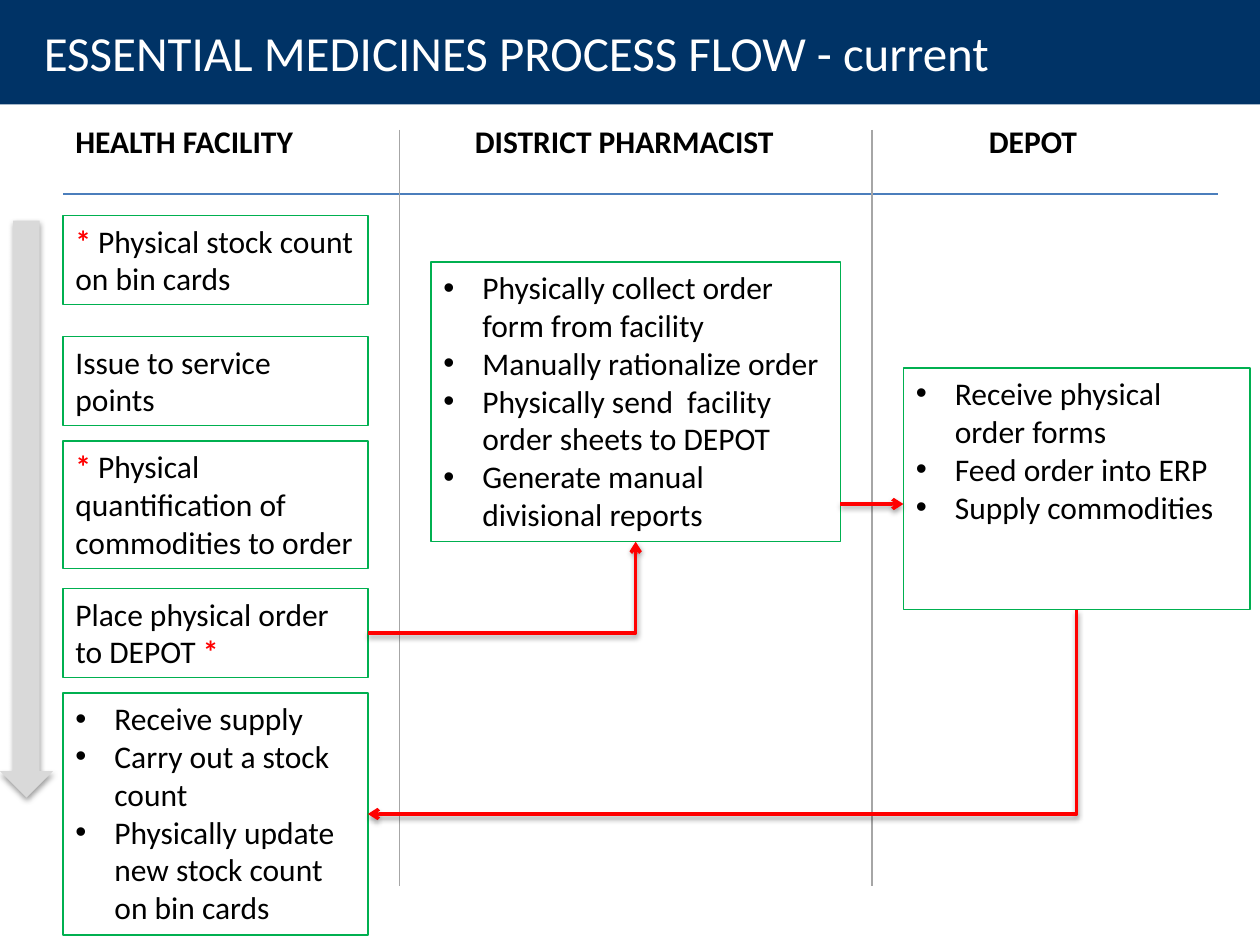
from typing import NamedTuple

from lxml import etree
from pptx import Presentation
from pptx import util as u
from pptx.dml.color import RGBColor
from pptx.enum import shapes, text
from pptx.oxml import parse_xml
from pptx.oxml.ns import nsdecls, qn

FONT = "Calibri"
BLACK, WHITE, RED, GREEN = "000000", "FFFFFF", "FF0000", "00B050"
NAVY, BLUE, GREY, SILVER = "003366", "4B7EBC", "A6A6A6", "D9D9D9"
BOTTOM, RIGHT = 2, 3


class Step(NamedTuple):
    name: str
    left: float
    top: float
    width: float
    height: float
    lines: list[str]
    bulleted: bool = False


class Heading(NamedTuple):
    label: str
    left: float
    width: float


class Rule(NamedTuple):
    start: tuple[float, float]
    end: tuple[float, float]
    color: str


STEPS = [
    Step("count", 0.5, 1.71, 2.42, 0.71, ["* Physical stock count on bin cards"]),
    Step("issue", 0.5, 2.67, 2.42, 0.71, ["Issue to service points"]),
    Step("quantify", 0.5, 3.5, 2.42, 1.01,
         ["* Physical quantification of commodities to order"]),
    Step("order", 0.5, 4.67, 2.42, 0.71, ["Place physical order to DEPOT *"]),
    Step("receive", 0.5, 5.5, 2.42, 1.92,
         ["Receive supply", "Carry out a stock count",
          "Physically update new stock count on bin cards"], True),
    Step("district", 3.42, 2.08, 3.25, 2.22,
         ["Physically collect order form from facility",
          "Manually rationalize order",
          "Physically send  facility order sheets to DEPOT",
          "Generate manual divisional reports"], True),
    Step("supplier", 7.17, 2.92, 2.75, 1.92,
         ["Receive physical order forms", "Feed order into ERP",
          "Supply commodities"], True),
]
HEADINGS = [
    Heading("HEALTH FACILITY", 0.5, 2.17),
    Heading("DISTRICT PHARMACIST", 3.67, 2.73),
    Heading("DEPOT", 7.75, 2.17),
]
RULES = [
    Rule((0.5, 1.54), (9.67, 1.54), BLUE),
    Rule((3.17, 1.03), (3.17, 7.03), GREY),
    Rule((6.92, 1.03), (6.92, 7.03), GREY),
]


def rgb(value: str) -> RGBColor:
    return RGBColor.from_string(value)


def set_effects(shape, shadow: bool) -> None:
    """Give the shape a soft drop shadow, or an empty effect list."""
    inner = (
        '<a:outerShdw blurRad="40000" dist="20000" dir="5400000" rotWithShape="0">'
        '<a:srgbClr val="000000"><a:alpha val="38000"/></a:srgbClr></a:outerShdw>'
    ) if shadow else ""
    properties = shape._element.spPr
    for old in properties.findall(qn("a:effectLst")):
        properties.remove(old)
    properties.append(parse_xml(f"<a:effectLst {nsdecls('a')}>{inner}</a:effectLst>"))


def add_block(page, kind, left: float, top: float, width: float, height: float,
              fill: str = "", line: str = "", shadow: bool = False):
    block = page.shapes.add_shape(kind, *map(u.Inches, (left, top, width, height)))
    if fill:
        block.fill.solid()
        block.fill.fore_color.rgb = rgb(fill)
    else:
        block.fill.background()
    if line:
        block.line.color.rgb = rgb(line)
        block.line.width = u.Pt(0.75)
    else:
        block.line.fill.background()
    set_effects(block, shadow)
    return block


def style(para, size: float, color: str, bold: bool = False) -> None:
    para.alignment = text.PP_ALIGN.LEFT
    para.font.name = FONT
    para.font.size = u.Pt(size)
    para.font.bold = bold
    para.font.color.rgb = rgb(color)


def add_bullet(para) -> None:
    properties = para._p.get_or_add_pPr()
    properties.set("marL", str(u.Inches(0.31)))
    properties.set("indent", str(-u.Inches(0.31)))
    bullet_font = parse_xml(f'<a:buFont {nsdecls("a")} typeface="Arial"/>')
    bullet = parse_xml(f'<a:buChar {nsdecls("a")} char="•"/>')
    properties.insert_element_before(bullet_font, "a:defRPr")
    properties.insert_element_before(bullet, "a:defRPr")


def add_step(page, step: Step):
    box = add_block(page, shapes.MSO_SHAPE.RECTANGLE, step.left, step.top,
                    step.width, step.height, line=GREEN)
    frame = box.text_frame
    frame.word_wrap = True
    frame.vertical_anchor = text.MSO_ANCHOR.TOP
    for index, line in enumerate(step.lines):
        para = frame.add_paragraph() if index else frame.paragraphs[0]
        style(para, 18, BLACK)
        if step.bulleted:
            add_bullet(para)
        # Asterisks stand out in bold red
        before, star, after = line.partition("*")
        if star and not before:
            star, after = "* ", after.lstrip()
        for part in filter(None, (before, star, after)):
            span = para.add_run()
            span.text = part
            if part == star:
                span.font.bold = True
                span.font.color.rgb = rgb(RED)
    return box


def add_heading(page, heading: Heading) -> None:
    box = page.shapes.add_textbox(u.Inches(heading.left), u.Inches(0.92),
                                  u.Inches(heading.width), u.Inches(0.4))
    box.text_frame.word_wrap = True
    para = box.text_frame.paragraphs[0]
    para.text = heading.label
    style(para, 18, BLACK, bold=True)


def add_line(page, kind, start: tuple[float, float], end: tuple[float, float],
             color: str, width: float, arrow: bool = False):
    line = page.shapes.add_connector(kind, *map(u.Inches, (*start, *end)))
    line.line.color.rgb = rgb(color)
    line.line.width = u.Pt(width)
    set_effects(line, arrow)
    if arrow:
        etree.SubElement(line.line._get_or_add_ln(), qn("a:tailEnd"), type="arrow")
    return line


def add_elbow(page, source, source_side: int, target, target_side: int) -> None:
    """Join two boxes by a red arrow with a single corner."""
    elbow = add_line(page, shapes.MSO_CONNECTOR.ELBOW, (0, 0), (1, 1), RED, 2, True)
    elbow.begin_connect(source, source_side)
    elbow.end_connect(target, target_side)
    properties = elbow._element.spPr
    properties.find(qn("a:prstGeom")).set("prst", "bentConnector2")
    if source_side == BOTTOM:
        # Turn a quarter so that the first leg runs down, the second to the left
        left, top, width, height = elbow.left, elbow.top, elbow.width, elbow.height
        elbow.left = left + (width - height) // 2
        elbow.top = top + (height - width) // 2
        elbow.width, elbow.height = height, width
        frame = properties.find(qn("a:xfrm"))
        frame.attrib.pop("flipH", None)
        frame.set("rot", str(90 * 60000))


def add_title(page) -> None:
    band = add_block(page, shapes.MSO_SHAPE.RECTANGLE, 0, 0, 10, 0.83, fill=NAVY)
    band.text_frame.vertical_anchor = text.MSO_ANCHOR.MIDDLE
    para = band.text_frame.paragraphs[0]
    para.text = "ESSENTIAL MEDICINES PROCESS FLOW - current"
    style(para, 28, WHITE)
    para._p.get_or_add_pPr().set("marL", str(u.Inches(0.25)))


def main() -> None:
    deck = Presentation()
    deck.slide_width, deck.slide_height = u.Inches(10), u.Inches(7.5)
    page = deck.slides.add_slide(deck.slide_layouts[6])
    straight = shapes.MSO_CONNECTOR.STRAIGHT

    # Title and column grid
    add_title(page)
    for rule in RULES:
        add_line(page, straight, rule.start, rule.end, rule.color, 0.75)
    for heading in HEADINGS:
        add_heading(page, heading)

    # Process steps and the time arrow beside them
    boxes = {step.name: add_step(page, step) for step in STEPS}
    add_block(page, shapes.MSO_SHAPE.DOWN_ARROW, 0, 1.75, 0.42, 4.58,
              fill=SILVER, shadow=True)

    # Flow between the columns
    add_line(page, straight, (6.67, 4), (7.17, 4), RED, 2, True)
    add_elbow(page, boxes["order"], RIGHT, boxes["district"], BOTTOM)
    add_elbow(page, boxes["supplier"], BOTTOM, boxes["receive"], RIGHT)

    deck.save("out.pptx")


if __name__ == "__main__":
    main()
